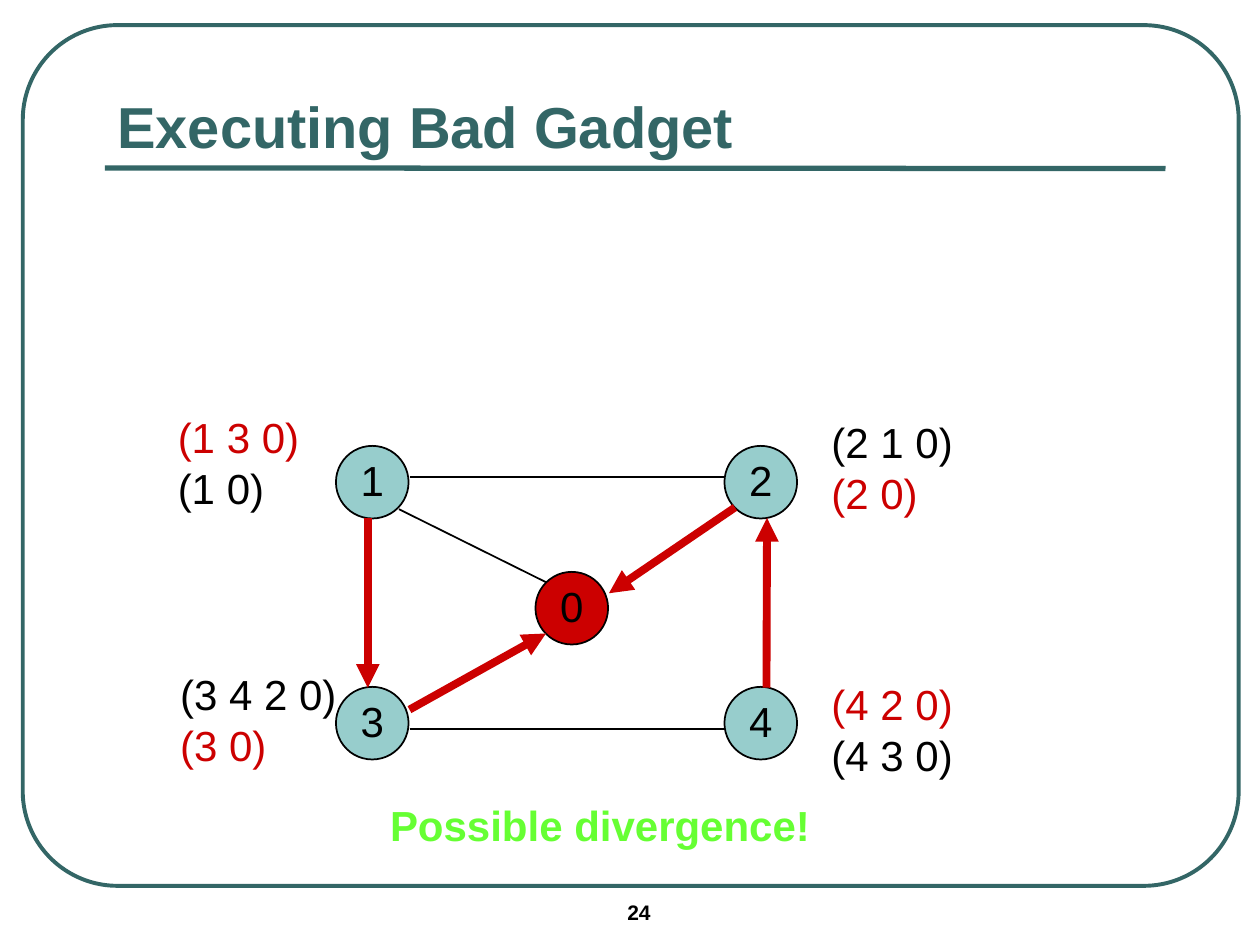
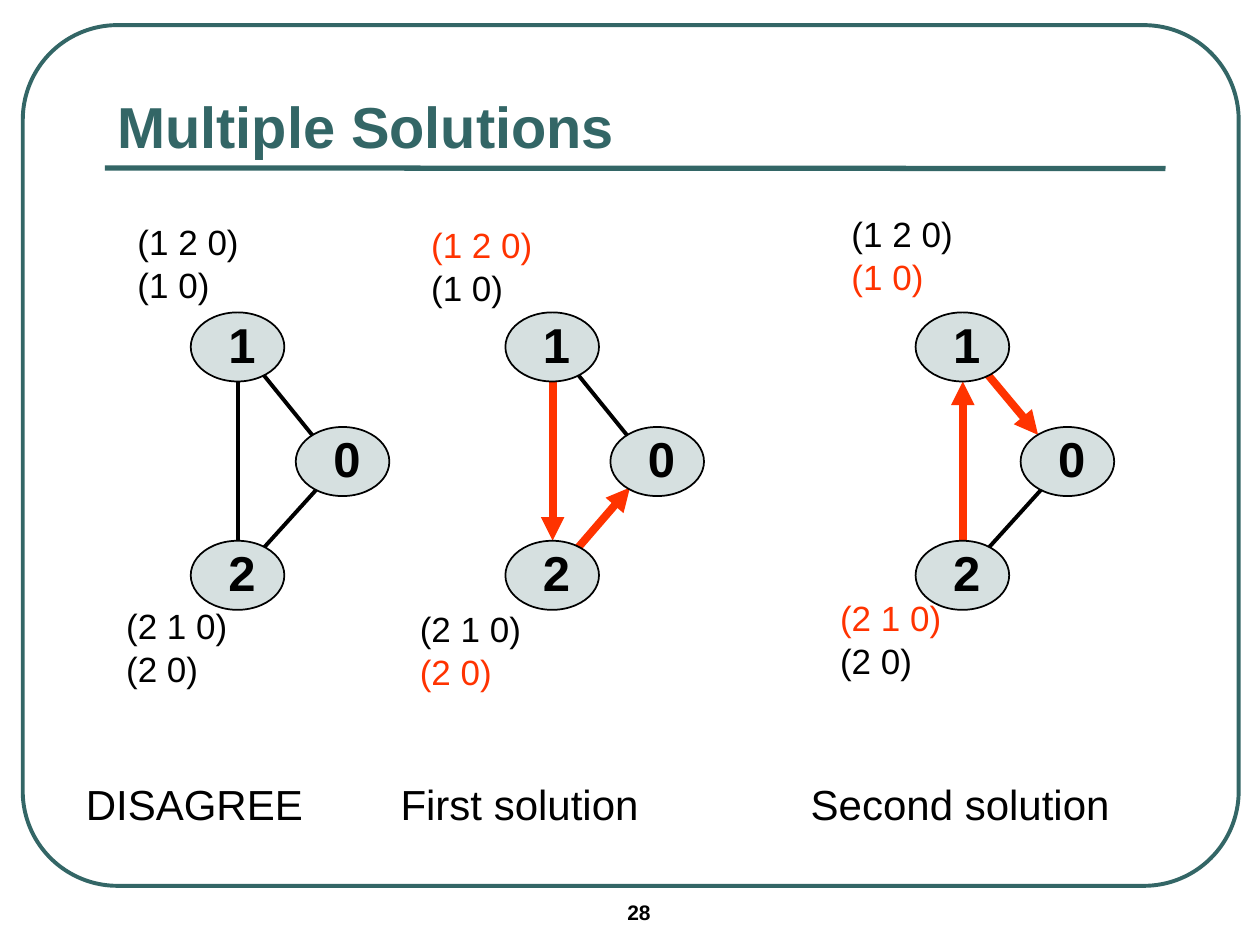
from pptx import Presentation
from pptx.dml.color import RGBColor
from pptx.enum.shapes import MSO_CONNECTOR as Link, MSO_SHAPE as Shape
from pptx.enum.text import MSO_ANCHOR as Anchor, PP_ALIGN as Align
from pptx.oxml.ns import qn
from pptx.util import Pt
from lxml.etree import SubElement

TEAL = RGBColor(0x33, 0x66, 0x66)
BLACK = RGBColor(0, 0, 0)
AQUA = RGBColor(0x97, 0xCD, 0xCC)
MIST = RGBColor(0xD6, 0xE0, 0xE0)
RED = RGBColor(0xCC, 0, 0)
ORANGE = RGBColor(0xFF, 0x33, 0)
GREEN = RGBColor(0x66, 0xFF, 0x33)

BAD_NODES = {
    "1": (192, 254.8, AQUA), "0": (306, 326.8, RED), "4": (414, 392.5, AQUA),
    "3": (192, 392.5, AQUA), "2": (414, 254.8, AQUA),
}
BAD_LINKS = [(234, 416.7, 414, 416.7), (234, 272.8, 414, 272.8), (228, 291, 312, 332.7)]
BAD_ARROWS = [
    (210.2, 296, 210.2, 393), (438, 393, 438.3, 296),
    (234, 405.5, 312, 362), (420, 290, 348, 339),
]
BAD_ROUTES = [
    (94.5, 234, 90, ["(1 3 0)", "(1 0)"], 0),
    (95.8, 381, 110, ["(3 4 2 0)", "(3 0)"], 1),
    (468, 386.6, 90, ["(4 2 0)", "(4 3 0)"], 0),
    (468, 237, 90, ["(2 1 0)", "(2 0)"], 1),
]

PAIR_NODES = {"1": (0, 178.5), "0": (60, 244), "2": (0, 309)}
PAIR_LINKS = {
    "1-2": (27, 208, 27, 319),
    "1-0": (32.5, 203, 81.5, 263.5),
    "2-0": (31.8, 324, 82, 268.5),
}
PAIR_ARROWS = {
    "1-2": (27, 208, 27, 309),
    "2-1": (27, 319, 27, 218),
    "1-0": (32, 203, 70, 248.5),
    "2-0": (32, 324, 71.2, 278.6),
}
PAIR_ROUTES = [["(1 2 0)", "(1 0)"], ["(2 1 0)", "(2 0)"]]
ROUTES_STEP = (-6.5, 219.5)
GADGETS = [
    dict(caption="DISAGREE", left=109, routes_at=(71.5, 124.6),
         chosen=(None, None), links=["1-2", "1-0", "2-0"], arrows=[]),
    dict(caption="First solution", left=288.8, routes_at=(239.3, 126.2),
         chosen=(0, 1), links=["1-0"], arrows=["1-2", "2-0"]),
    dict(caption="Second solution", left=523.2, routes_at=(479.5, 120.2),
         chosen=(1, 0), links=["2-0"], arrows=["2-1", "1-0"]),
]


def style(paragraph, size, color, bold=False, spacing=0.93):
    paragraph.line_spacing = spacing
    font = paragraph.font
    font.name, font.size, font.bold = "Arial", Pt(size), bold
    font.color.rgb = color


def add_text(slide, box, lines, size, colors, bold=False, anchor=Anchor.TOP):
    frame = slide.shapes.add_textbox(*map(Pt, box)).text_frame
    frame.word_wrap = True
    frame.vertical_anchor = anchor
    frame.text = "\n".join(lines)
    for i, (paragraph, color) in enumerate(zip(frame.paragraphs, colors)):
        style(paragraph, size, color, bold, 1.0 if i else 0.93)


def add_routes(slide, box, routes, size, chosen, highlight):
    colors = [highlight if i == chosen else BLACK for i in range(len(routes))]
    add_text(slide, box, routes, size, colors)


def add_line(slide, ends, color, width, arrow=False):
    line = slide.shapes.add_connector(Link.STRAIGHT, *map(Pt, ends))
    line.line.color.rgb = color
    line.line.width = Pt(width)
    if arrow:
        SubElement(line.line._get_or_add_ln(), qn("a:tailEnd"), type="triangle")
    SubElement(line._element.spPr, qn("a:effectLst"))


def add_node(slide, name, box, fill, size, bold=False, indent=0):
    node = slide.shapes.add_shape(Shape.OVAL, *map(Pt, box))
    node.shadow.inherit = False
    node.fill.solid()
    node.fill.fore_color.rgb = fill
    node.line.color.rgb = BLACK
    node.line.width = Pt(1)
    frame = node.text_frame
    frame.margin_top = frame.margin_bottom = frame.margin_right = 0
    frame.margin_left = Pt(indent)
    frame.vertical_anchor = Anchor.MIDDLE
    frame.text = name
    style(frame.paragraphs[0], size, BLACK, bold)
    frame.paragraphs[0].alignment = Align.CENTER


def start_slide(deck, title, number):
    slide = deck.slides.add_slide(deck.slide_layouts[6])
    add_text(slide, (351.4, 511.5, 84.2, 21), [number], 12, [BLACK], bold=True)
    border = slide.shapes.add_shape(Shape.ROUNDED_RECTANGLE, *map(Pt, (13, 14.4, 694.8, 491.8)))
    border.adjustments[0] = 0.11
    border.shadow.inherit = False
    border.fill.background()
    border.line.color.rgb = TEAL
    border.line.width = Pt(2.25)
    add_line(slide, (60, 96, 666, 96.3), TEAL, 3)
    add_text(slide, (60, 42, 606, 54), [title], 33, [TEAL], bold=True, anchor=Anchor.BOTTOM)
    return slide


def build_bad_gadget(deck):
    slide = start_slide(deck, "Executing Bad Gadget", "24")
    for name, (x, y, fill) in BAD_NODES.items():
        add_node(slide, name, (x, y, 41.5, 41.5), fill, 24)
    for ends in BAD_LINKS:
        add_line(slide, ends, BLACK, 1)
    for ends in BAD_ARROWS:
        add_line(slide, ends, RED, 4.5, arrow=True)
    for x, y, width, routes, chosen in BAD_ROUTES:
        add_routes(slide, (x, y, width, 63.4), routes, 24, chosen, RED)
    add_text(slide, (215.8, 456, 280, 34.5), ["Possible divergence!"], 24, [GREEN], bold=True)


def build_solutions(deck):
    slide = start_slide(deck, "Multiple Solutions", "28")
    for gadget in GADGETS:
        left = gadget["left"]

        def shifted(ends):
            x1, y1, x2, y2 = ends
            return left + x1, y1, left + x2, y2

        for key in gadget["links"]:
            add_line(slide, shifted(PAIR_LINKS[key]), BLACK, 2.25)
        for key in gadget["arrows"]:
            add_line(slide, shifted(PAIR_ARROWS[key]), ORANGE, 4.5, arrow=True)
        for name, (x, y) in PAIR_NODES.items():
            add_node(slide, name, (left + x, y, 53.5, 39.5), MIST, 28, bold=True, indent=5)
        x, y = gadget["routes_at"]
        for i, (routes, chosen) in enumerate(zip(PAIR_ROUTES, gadget["chosen"])):
            box = (x + i * ROUTES_STEP[0], y + i * ROUTES_STEP[1], 80, 54)
            add_routes(slide, box, routes, 20, chosen, ORANGE)
        add_text(slide, (left - 67, 444, 200, 34), [gadget["caption"]], 24, [BLACK])


def main():
    deck = Presentation()
    deck.slide_width, deck.slide_height = Pt(720), Pt(540)
    build_bad_gadget(deck)
    build_solutions(deck)
    deck.save("out.pptx")


if __name__ == "__main__":
    main()
